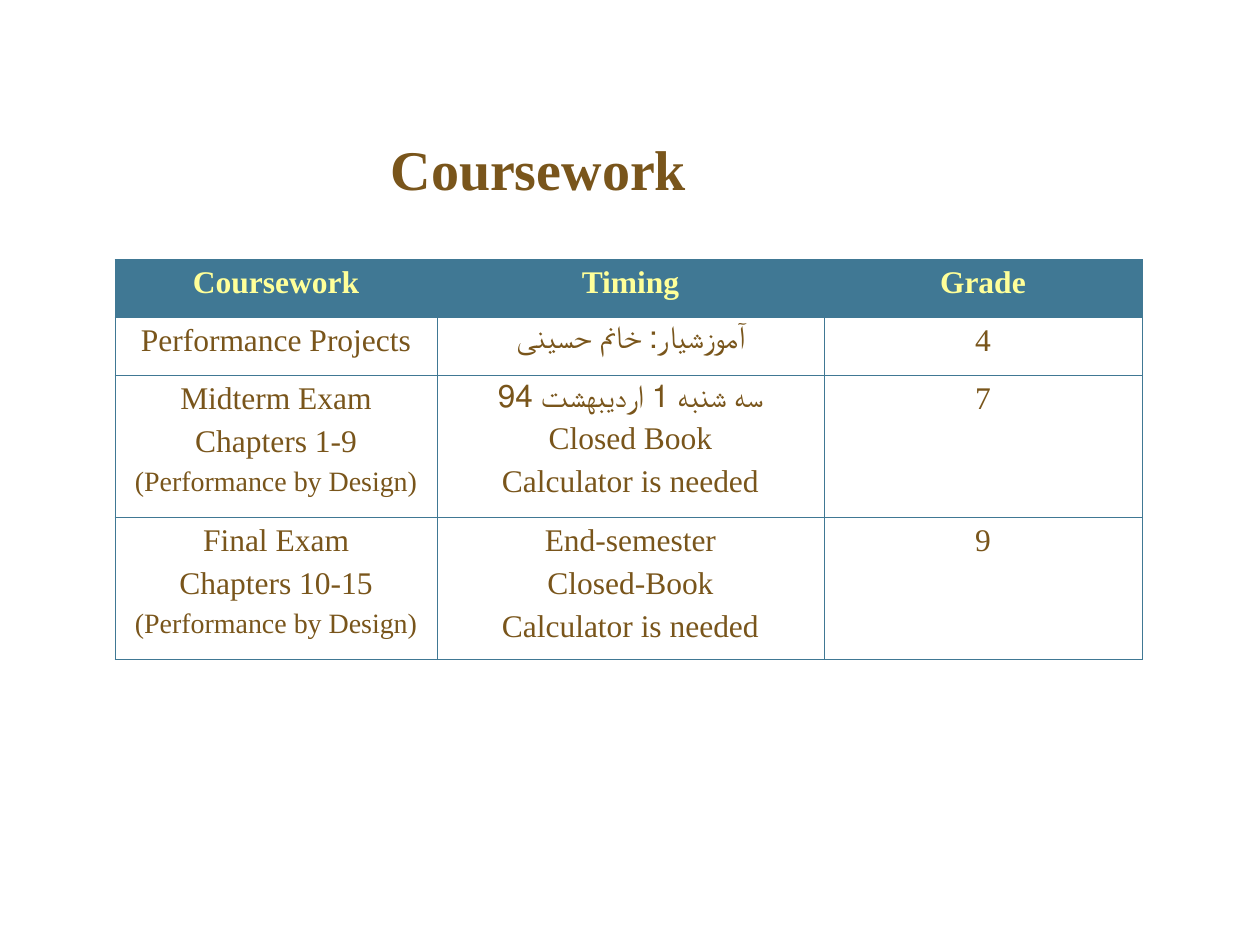
"""Build the coursework slide with its timing and grading table."""
from lxml import etree
from pptx import Presentation
from pptx.dml.color import RGBColor
from pptx.enum.text import MSO_ANCHOR, PP_ALIGN
from pptx.oxml.ns import qn
from pptx.util import Cm, Pt

LEFT, CENTER = PP_ALIGN.LEFT, PP_ALIGN.CENTER
MIDDLE = MSO_ANCHOR.MIDDLE

HEADING = "Coursework"
BOOK = "(Performance by Design)"
ROWS = [
    [["Coursework"], ["Timing"], ["Grade"]],
    [["Performance Projects"], ["آموزشیار: خانم حسینی"], ["4"]],
    [
        ["Midterm Exam", "Chapters 1-9", BOOK],
        ["سه شنبه 1 اردیبهشت 94", "Closed Book", "Calculator is needed"],
        ["7"],
    ],
    [
        ["Final Exam", "Chapters 10-15", BOOK],
        ["End-semester", "Closed-Book", "Calculator is needed"],
        ["9"],
    ],
]
COLORS = {"brown": "79551B", "teal": "407894", "yellow": "FFFF99"}
COLUMN_WIDTHS = [6.49, 7.8, 6.41]
ROW_HEIGHTS = [1.17, 1.17, 2.86, 2.86]
TITLE_BOX = {"left": Cm(7.62), "top": Cm(2.11), "width": Cm(15.24), "height": Cm(2.54)}
TITLE_FONT = {"name": "Times New Roman", "size": Pt(32), "bold": True}
HEADER_FONT = {"name": "Times New Roman", "size": Pt(18), "bold": True}
BODY_FONT = {**HEADER_FONT, "bold": False}
BOOK_FONT = {**BODY_FONT, "size": Pt(16)}


def apply(target, values):
    for attribute, value in values.items():
        setattr(target, attribute, value)


def write(paragraph, wording, font, color, alignment):
    run = paragraph.add_run()
    run.text = wording
    apply(run.font, font)
    run.font.color.rgb = RGBColor.from_string(COLORS[color])
    paragraph.alignment = alignment


def add_borders(cell):
    properties = cell._tc.get_or_add_tcPr()
    for position, side in enumerate(("lnL", "lnR", "lnT", "lnB")):
        border = etree.Element(qn(f"a:{side}"), w=str(Pt(0.45)))
        fill = etree.SubElement(border, qn("a:solidFill"))
        etree.SubElement(fill, qn("a:srgbClr"), val=COLORS["teal"])
        properties.insert(position, border)


def fill_cell(cell, lines, is_header):
    if is_header:
        cell.fill.solid()
        cell.fill.fore_color.rgb = RGBColor.from_string(COLORS["teal"])
    else:
        cell.fill.background()
    add_borders(cell)
    frame = cell.text_frame
    for index, line in enumerate(lines):
        paragraph = frame.add_paragraph() if index else frame.paragraphs[0]
        body_font = BOOK_FONT if line == BOOK else BODY_FONT
        font = HEADER_FONT if is_header else body_font
        write(paragraph, line, font, "yellow" if is_header else "brown", CENTER)
        paragraph.space_before = font["size"] // 4


def main():
    deck = Presentation()
    apply(deck, {"slide_width": Cm(25.4), "slide_height": Cm(19.05)})
    slide = deck.slides.add_slide(deck.slide_layouts[5])

    title = slide.shapes.title
    apply(title, TITLE_BOX)
    title.text_frame.vertical_anchor = MIDDLE
    write(title.text_frame.paragraphs[0], HEADING, TITLE_FONT, "brown", LEFT)

    schedule = slide.shapes.add_table(
        len(ROWS), len(COLUMN_WIDTHS), Cm(2.32), Cm(5.23),
        Cm(sum(COLUMN_WIDTHS)), Cm(sum(ROW_HEIGHTS)),
    ).table
    apply(schedule, {"first_row": False, "horz_banding": False})
    for column, width in zip(schedule.columns, COLUMN_WIDTHS):
        column.width = Cm(width)
    for row, height, entries in zip(schedule.rows, ROW_HEIGHTS, ROWS):
        row.height = Cm(height)
        for cell, lines in zip(row.cells, entries):
            fill_cell(cell, lines, entries is ROWS[0])

    deck.save("out.pptx")


if __name__ == "__main__":
    main()
